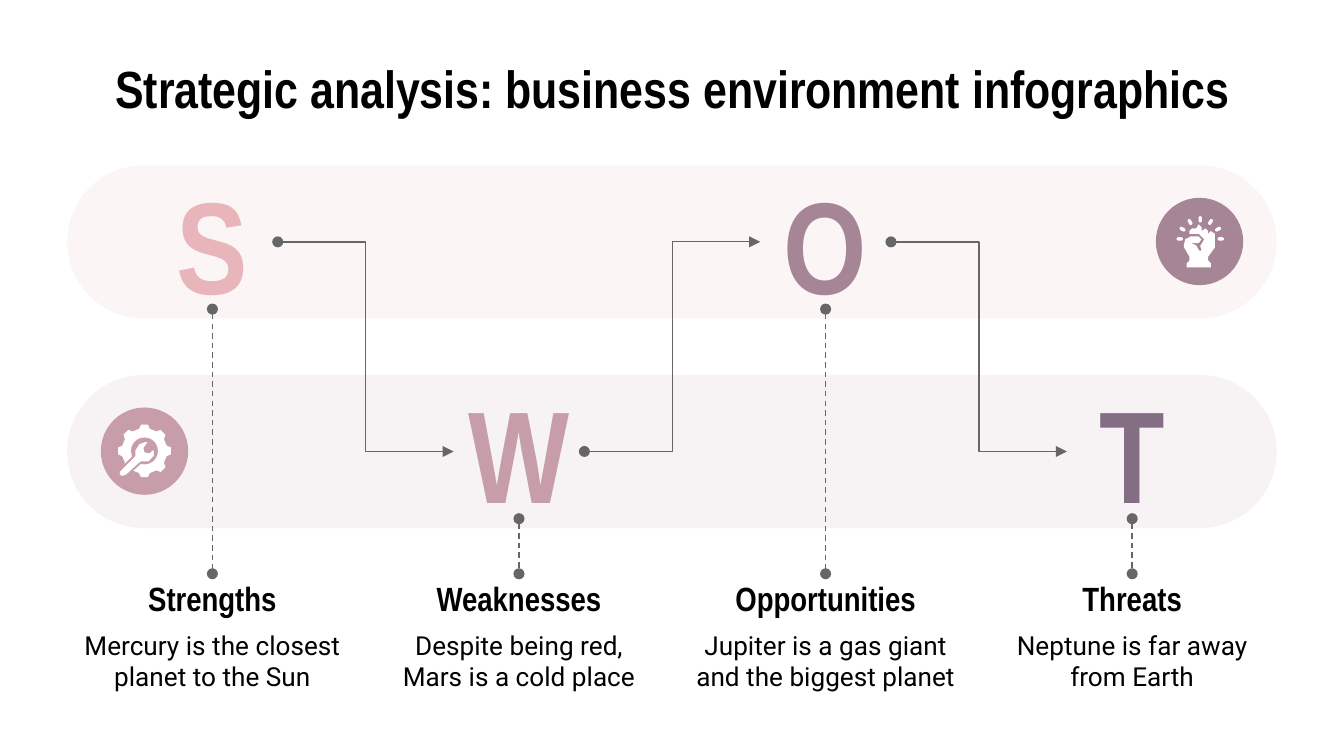
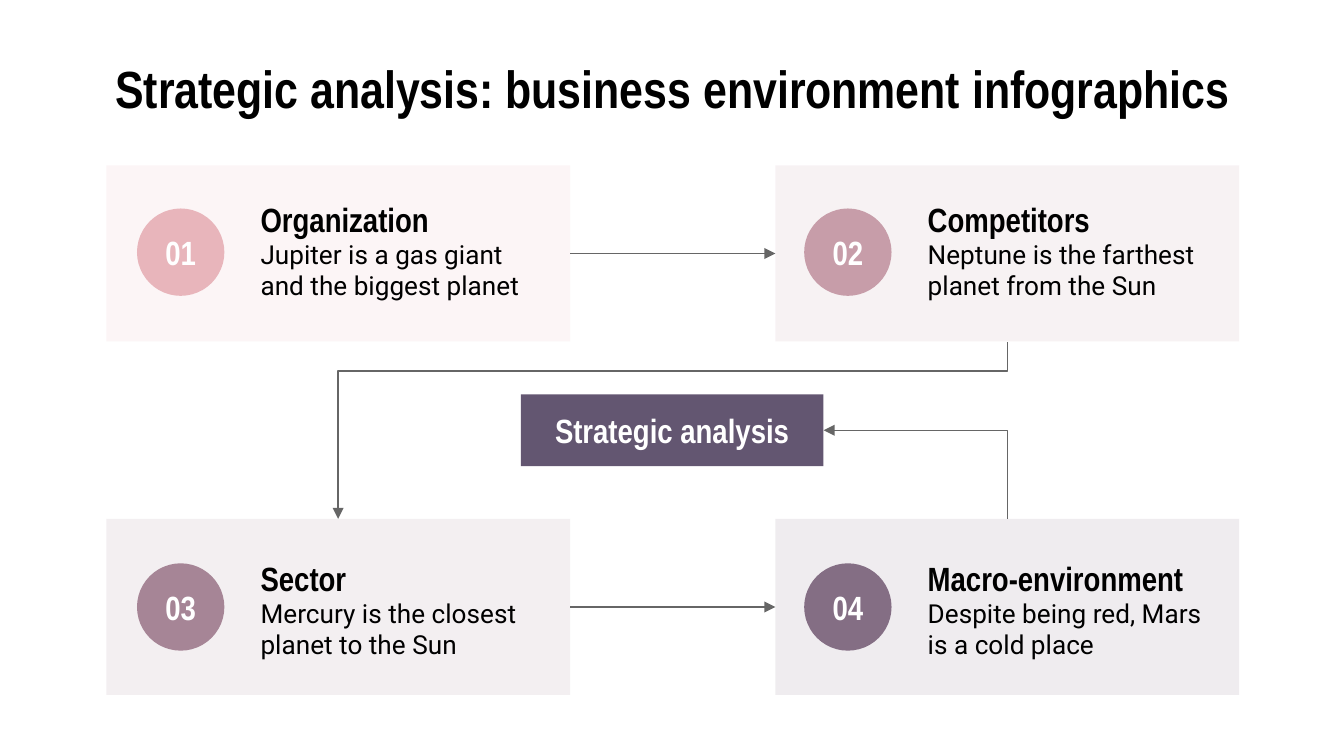
from math import cos, pi, radians, sin

from lxml import etree
from pptx import Presentation
from pptx.dml.color import RGBColor
from pptx.enum.dml import MSO_LINE
from pptx.enum.shapes import MSO_CONNECTOR, MSO_SHAPE
from pptx.enum.text import MSO_ANCHOR, PP_ALIGN
from pptx.oxml.ns import qn
from pptx.util import Pt

RECT, ROUND, OVAL = MSO_SHAPE.RECTANGLE, MSO_SHAPE.ROUNDED_RECTANGLE, MSO_SHAPE.OVAL
LINE, ELBOW = MSO_CONNECTOR.STRAIGHT, MSO_CONNECTOR.ELBOW
LEFT, MID = PP_ALIGN.LEFT, PP_ALIGN.CENTER
DASH = MSO_LINE.DASH
CENTER = MSO_ANCHOR.MIDDLE
BLACK, WHITE, GREY, DARK = "000000", "FFFFFF", "666666", "635671"
PINK, ROSE, MAUVE, PLUM = "E8B5BB", "C79DA9", "A68596", "846E84"
HEAD = {"name": "Arial Narrow", "size": Pt(18), "bold": True}
TITLE = {**HEAD, "size": Pt(28)}
GLYPH = {**HEAD, "size": Pt(70)}
BODY = {"name": "Roboto", "size": Pt(14), "bold": False}
color = RGBColor.from_string


def box(slide, kind, x, y, w, h, fill=None, alpha=None, text="", style=HEAD, ink=BLACK, align=MID):
    area = [Pt(v) for v in (x, y, w, h)]
    if kind is None:
        shape = slide.shapes.add_textbox(*area)
    else:
        shape = slide.shapes.add_shape(kind, *area)
        shape.shadow.inherit = False
        shape.line.fill.background()
        shape.fill.solid()
        shape.fill.fore_color.rgb = color(fill)
        if alpha:
            tint = shape._element.spPr.find(".//" + qn("a:srgbClr"))
            etree.SubElement(tint, qn("a:alpha"), val=str(alpha * 1000))
    if text:
        frame = shape.text_frame
        margins = dict.fromkeys(("margin_left", "margin_right", "margin_top", "margin_bottom"), Pt(7.2))
        for key, value in {"word_wrap": True, "vertical_anchor": CENTER, **margins}.items():
            setattr(frame, key, value)
        para = frame.paragraphs[0]
        para.alignment = align
        run = para.add_run()
        run.text = text
        for key, value in style.items():
            setattr(run.font, key, value)
        run.font.color.rgb = color(ink)
    return shape


def link(slide, kind, x1, y1, x2, y2, head=None, tail=None, dash=None):
    wire = slide.shapes.add_connector(kind, Pt(x1), Pt(y1), Pt(x2), Pt(y2))
    wire.line.color.rgb = color(GREY)
    wire.line.width = Pt(0.75)
    if dash:
        wire.line.dash_style = dash
    for tag, end in (("a:headEnd", head), ("a:tailEnd", tail)):
        if end:
            etree.SubElement(wire.line._get_or_add_ln(), qn(tag), type=end)
    etree.SubElement(wire._element.spPr, qn("a:effectLst"))
    return wire


deck = Presentation()
deck.slide_width, deck.slide_height = Pt(720), Pt(405)
swot, flow = [deck.slides.add_slide(deck.slide_layouts[6]) for _ in range(2)]
TOP, STEP = 88.6, 112.3

for row, tint in ((1, ROSE), (0, PINK)):
    band = box(swot, ROUND, 36, TOP + row * STEP, 648, 82, tint, 13)
    band.adjustments[0] = 0.5

cards = [(57 + 358.4 * (n % 2), TOP + 189.4 * (n // 2), tint)
         for n, tint in enumerate((PINK, ROSE, MAUVE, PLUM))]
panels = [box(flow, RECT, x, y, 248.4, 94.4, tint, 13) for x, y, tint in cards]

for slide in (swot, flow):
    box(slide, None, 36, 32.4, 648, 29.5, text="Strategic analysis: business environment infographics", style=TITLE)

parts = [
    ("S", "Strengths", "Mercury is the closest planet to the Sun", PINK),
    ("W", "Weaknesses", "Despite being red, Mars is a cold place", ROSE),
    ("O", "Opportunities", "Jupiter is a gas giant and the biggest planet", MAUVE),
    ("T", "Threats", "Neptune is far away from Earth", PLUM),
]
PITCH = 164.25
for n, (sign, name, note, tint) in enumerate(parts):
    mid, drop = 113.8 + PITCH * n, STEP * (n % 2)
    box(swot, None, mid - 77.8, 307.4, 155.6, 26, text=name)
    box(swot, None, mid - 77.8, 334.8, 155.6, 38.2, text=note, style=BODY)
    box(swot, None, mid - 35, 93.6 + drop, 70, 72, text=sign, style=GLYPH, ink=tint)
    link(swot, LINE, mid, 165.6 + drop, mid, 307.4, "oval", "oval", DASH)
    if n < 3:
        link(swot, ELBOW, mid + 35, 129.6 + drop, mid + PITCH - 35, 129.6 + STEP - drop, "oval", "triangle")

box(swot, OVAL, 54, 218.3, 46.8, 46.8, ROSE)
box(swot, OVAL, 619.2, 106, 46.8, 46.8, MAUVE)

gear = []
for tooth in range(8):
    for turn, size in ((-0.24, 12.2), (-0.13, 14.2), (0.13, 14.2), (0.24, 12.2)):
        angle = tooth * pi / 4 + turn
        gear.append((77.4 + size * cos(angle), 241.6 + size * sin(angle)))
wrench = [
    (77.8, 236.2), (74.2, 237.6), (72, 241.2), (72, 244.1), (64.1, 252), (63.4, 253.8),
    (64.8, 255.6), (67.7, 254.9), (75.6, 247.7), (79.9, 247.7), (83, 244.4), (82.8, 239.8),
    (79.9, 242.3), (77.8, 241.9), (77.4, 240.1), (79.9, 236.9),
]
fist = [
    (642.2, 120.2), (640.8, 122.4), (638.6, 122.4), (637.2, 123.8), (637.2, 125.3), (642.2, 125.3),
    (645.1, 128.2), (643, 131.8), (643.7, 133.9), (643, 134.6), (642.2, 133.9), (640.8, 131.4),
    (637.9, 130.3), (642.2, 130.3), (643.7, 128.2), (642.2, 126.7), (637.9, 126.7), (635, 128.2),
    (634.3, 131), (634.3, 132.5), (637.2, 137.5), (637.2, 139.7), (635.8, 141.1), (635.8, 143.3),
    (648.7, 143.3), (648.7, 141.1), (647.3, 139.7), (647.3, 137.5), (650.9, 132.5), (650.9, 125.3),
    (648.7, 123.8), (647.3, 125.3), (647.3, 123.8), (645.8, 122.4), (643.7, 123.8), (643.7, 121.7),
]
for points, edge in ((gear, None), (wrench, ROSE), (fist, None)):
    if edge:
        box(swot, OVAL, 70.2, 234.4, 14.4, 14.4, ROSE)
    spots = [(Pt(x), Pt(y)) for x, y in points]
    pen = swot.shapes.build_freeform(*spots[0])
    pen.add_line_segments(spots[1:])
    icon = pen.convert_to_shape()
    icon.shadow.inherit = False
    icon.fill.solid()
    icon.fill.fore_color.rgb = color(WHITE)
    if edge:
        icon.line.color.rgb = color(edge)
        icon.line.width = Pt(1)
    else:
        icon.line.fill.background()

for angle in range(0, 181, 30):
    x, y = 643 + 11 * cos(radians(angle)), 128 - 10.5 * sin(radians(angle))
    ray = box(swot, ROUND, x - 1.7, y - 0.9, 3.4, 1.8, WHITE)
    ray.adjustments[0] = 0.5
    ray.rotation = -angle

steps = [
    ("Organization", "Jupiter is a gas giant and the biggest planet"),
    ("Competitors", "Neptune is the farthest planet from the Sun"),
    ("Sector", "Mercury is the closest planet to the Sun"),
    ("Macro-environment", "Despite being red, Mars is a cold place"),
]
for n, (name, note) in enumerate(steps):
    x = (73.4, 430.8)[n % 2]
    disc, head = ((111.7, 106.7), (301.8, 298.9))[n // 2]
    box(flow, OVAL, x, disc, 46.8, 46.8, cards[n][2], text=f"{n + 1:02}", ink=WHITE)
    box(flow, None, x + 59.1, head, 162, 21.6, text=name, align=LEFT)
    box(flow, None, x + 59.1, head + 21.9, 162, 31.7, text=note, style=BODY, align=LEFT)

box(flow, RECT, 279, 211.3, 162.2, 38.4, DARK, text="Strategic analysis", ink=WHITE)
for start, stop in (panels[:2], panels[2:]):
    wire = link(flow, LINE, 0, 0, 9, 9, tail="triangle")
    wire.begin_connect(start, 3)
    wire.end_connect(stop, 1)

corner = link(flow, ELBOW, 441.2, 230.5, 539.6, 278, head="triangle")
corner._element.spPr.find(qn("a:prstGeom")).set("prst", "bentConnector2")

back = link(flow, ELBOW, 312.9, 51.3, 407.9, 409.7, head="triangle")
back._element.spPr.find(qn("a:xfrm")).set("rot", str(270 * 60000))
guides = back._element.spPr.find(".//" + qn("a:avLst"))
etree.SubElement(guides, qn("a:gd"), name="adj1", fmla="val 83400")

deck.save("out.pptx")
